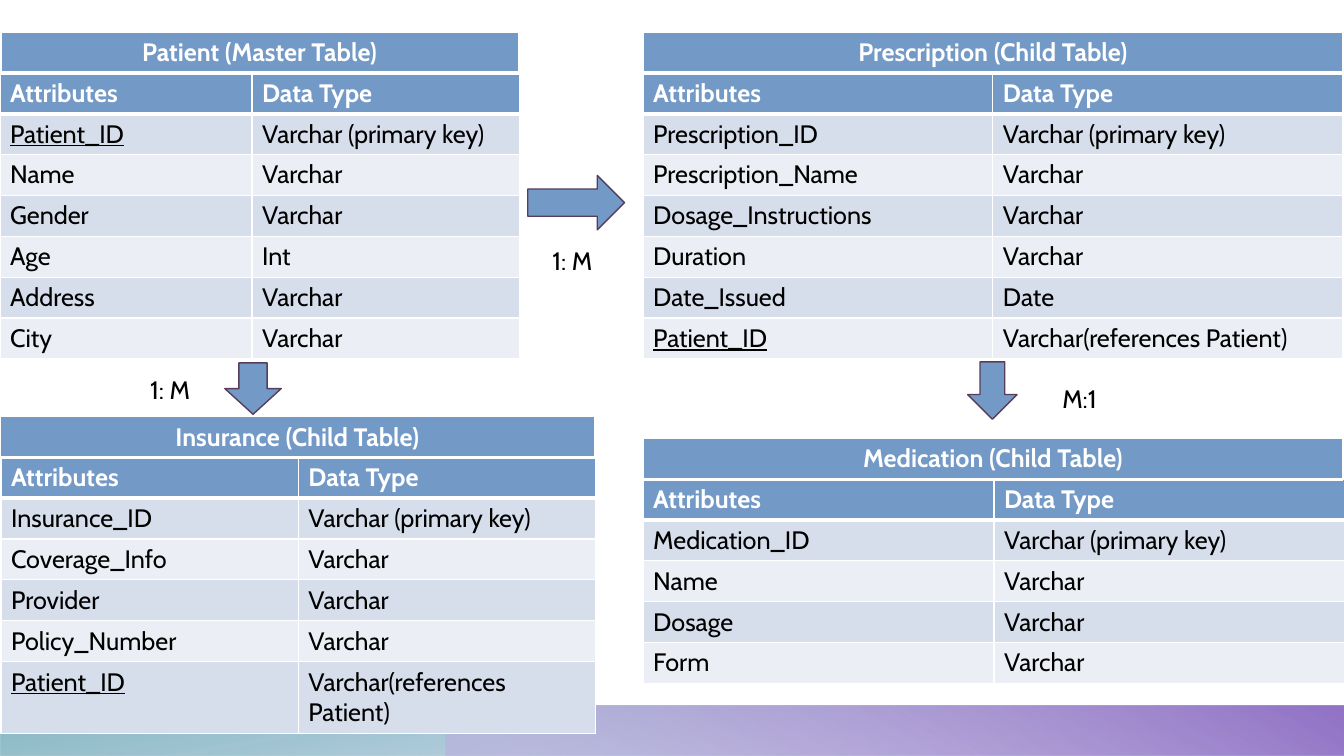
from lxml.etree import SubElement
from pptx import Presentation
from pptx.dml.color import RGBColor
from pptx.enum.shapes import MSO_SHAPE as SHAPE
from pptx.enum.text import MSO_AUTO_SIZE as AUTO_SIZE, PP_ALIGN as ALIGN
from pptx.oxml import parse_xml
from pptx.oxml.ns import nsdecls, qn
from pptx.util import Pt

COLORS = {
    "header": "7399C6", "odd": "D5DEEA", "even": "EBEFF5", "border": "FFFFFF",
    "outline": "553D5B", "ink": "000000", "teal": "6FADB6", "lilac": "BEABDD", "purple": "9273C6",
}
FONT, SIZE = "Cabin", 18
ROW_HEIGHT, TITLE_STEP = 29.2, 29
COLUMN_HEADS = ("Attributes", "Data Type")
SHARED_KEY = "Patient_ID"

ENTITIES = [
    {"title": "Patient (Master Table)", "title_at": (0.7, 23, 369.4), "left": 0, "columns": (180, 190.8),
     "rows": [(SHARED_KEY, "Varchar (primary key)"), ("Name", "Varchar"), ("Gender", "Varchar"),
              ("Age", "Int"), ("Address", "Varchar"), ("City", "Varchar")]},
    {"title": "Prescription (Child Table)", "title_at": (459.4, 23, 499.7), "left": 459.4, "columns": (249.8, 249.8),
     "rows": [("Prescription_ID", "Varchar (primary key)"), ("Prescription_Name", "Varchar"),
              ("Dosage_Instructions", "Varchar"), ("Duration", "Varchar"), ("Date_Issued", "Date"),
              (SHARED_KEY, "Varchar(references Patient)")]},
    {"title": "Medication (Child Table)", "title_at": (459.4, 313.2, 499.7), "left": 459.4, "columns": (250.6, 250.6),
     "rows": [("Medication_ID", "Varchar (primary key)"), ("Name", "Varchar"), ("Dosage", "Varchar"),
              ("Form", "Varchar")]},
    {"title": "Insurance (Child Table)", "title_at": (0, 297.6, 424.8), "left": 0.7, "columns": (212.4, 212.4),
     "rows": [("Insurance_ID", "Varchar (primary key)"), ("Coverage_Info", "Varchar"), ("Provider", "Varchar"),
              ("Policy_Number", "Varchar"), (SHARED_KEY, "Varchar(references Patient)")]},
]
ARROWS = [
    (SHAPE.RIGHT_ARROW, (377, 125.3, 69.1, 38.9)),
    (SHAPE.DOWN_ARROW, (691.2, 258.5, 35.3, 41)),
    (SHAPE.DOWN_ARROW, (160.6, 259.2, 40.3, 36.7)),
]
LABELS = [
    ("1: M", (387.4, 171.4, 47.5, 28.8)),
    ("M:1", (751.7, 270, 42.5, 28.8)),
    ("1: M", (100.1, 263.5, 47.5, 28.8)),
]
BANDS = [
    {"at": (0, 504, 960, 36), "rotation": 180, "angle": 100,
     "stops": [(0.14, "header", 28), (1, "teal", 85)]},
    {"at": (318.2, 504, 641.8, 36), "rotation": 0, "angle": 240,
     "stops": [(0.09, "lilac", 55), (0.99, "purple", 100)]},
]


def color(name):
    return RGBColor.from_string(COLORS[name])


def points(values):
    return [Pt(value) for value in values]


def write(frame, text, ink="ink", bold=False, underline=False, align=ALIGN.LEFT):
    para = frame.paragraphs[0]
    para.alignment = align
    span = para.add_run()
    span.text = text
    font = span.font
    font.name, font.size, font.bold, font.underline = FONT, Pt(SIZE), bold, underline
    font.color.rgb = color(ink)


def add_border(cell, top, bottom):
    properties = cell._tc.get_or_add_tcPr()
    for index, (side, width) in enumerate((("L", 1), ("R", 1), ("T", top), ("B", bottom))):
        properties.insert(index, parse_xml(
            f'<a:ln{side} {nsdecls("a")} w="{Pt(width)}"><a:solidFill>'
            f'<a:srgbClr val="{COLORS["border"]}"/></a:solidFill></a:ln{side}>'))


def add_grid(slide, left, top, columns, rows, align=ALIGN.LEFT):
    size = points((left, top, sum(columns), ROW_HEIGHT * len(rows)))
    table = slide.shapes.add_table(len(rows), len(columns), *size).table
    for column, width in zip(table.columns, columns):
        column.width = Pt(width)
    for number, texts in enumerate(rows):
        table.rows[number].height = Pt(ROW_HEIGHT)
        heading = number == 0
        fill = "header" if heading else "odd" if number % 2 else "even"
        for cell, text in zip(table.rows[number].cells, texts):
            cell.fill.solid()
            cell.fill.fore_color.rgb = color(fill)
            add_border(cell, top=3 if number == 1 else 1, bottom=3 if heading else 1)
            write(cell.text_frame, text, ink="border" if heading else "ink", bold=heading,
                  underline=text == SHARED_KEY, align=align)


def add_band(slide, at, rotation, angle, stops):
    band = slide.shapes.add_shape(SHAPE.RECTANGLE, *points(at))
    band.shadow.inherit = False
    band.line.fill.background()
    band.rotation = rotation
    band._element.spPr.find(qn("a:xfrm")).set("flipH", "1")
    band.fill.gradient()
    band.fill.gradient_angle = 360 - angle
    for stop, (position, name, opacity) in zip(band.fill.gradient_stops, stops):
        stop.position = position
        stop.color.rgb = color(name)
    for tint, (_, _, opacity) in zip(band._element.spPr.iter(qn("a:srgbClr")), stops):
        SubElement(tint, qn("a:alpha"), val=str(opacity * 1000))


def add_arrow(slide, kind, at):
    arrow = slide.shapes.add_shape(kind, *points(at))
    arrow.shadow.inherit = False
    arrow.fill.solid()
    arrow.fill.fore_color.rgb = color("header")
    arrow.line.color.rgb = color("outline")
    arrow.line.width = Pt(1)


def add_label(slide, text, at):
    frame = slide.shapes.add_textbox(*points(at)).text_frame
    frame.word_wrap = False
    frame.auto_size = AUTO_SIZE.SHAPE_TO_FIT_TEXT
    write(frame, text)


def main():
    deck = Presentation()
    deck.slide_width, deck.slide_height = Pt(960), Pt(540)
    slide = deck.slides.add_slide(deck.slide_layouts[6])
    for band in BANDS:
        add_band(slide, **band)
    for entity in ENTITIES:
        left, top, width = entity["title_at"]
        add_grid(slide, entity["left"], top + TITLE_STEP, entity["columns"], [COLUMN_HEADS] + entity["rows"])
        add_grid(slide, left, top, [width], [(entity["title"],)], align=ALIGN.CENTER)
    for kind, at in ARROWS:
        add_arrow(slide, kind, at)
    for text, at in LABELS:
        add_label(slide, text, at)
    deck.save("out.pptx")


if __name__ == "__main__":
    main()
